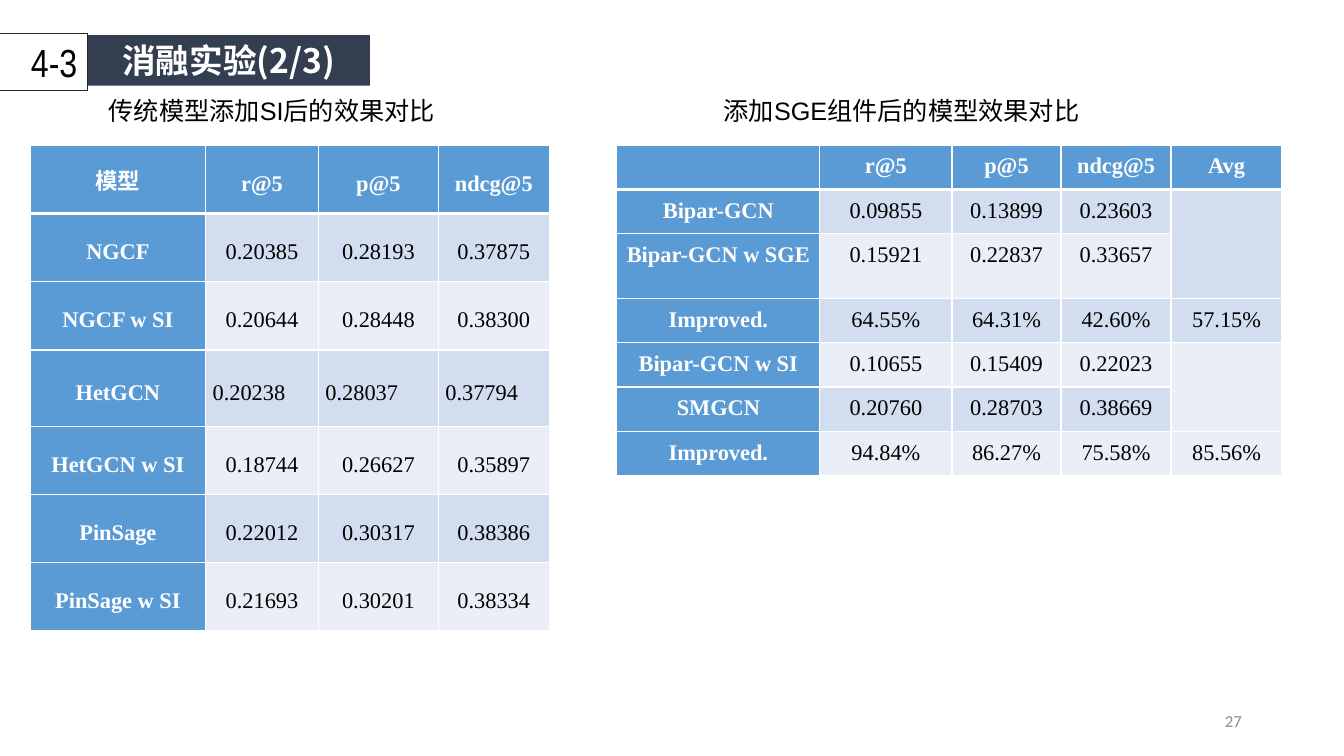
from pptx import Presentation, util as u
from pptx.dml.color import RGBColor
from pptx.enum import shapes, text
from pptx.oxml import parse_xml
from pptx.oxml.ns import nsdecls

WHITE = RGBColor(0xFF, 0xFF, 0xFF)
BLACK = RGBColor(0, 0, 0)
EDGE = RGBColor(0x26, 0x26, 0x26)
NAVY = RGBColor(0x33, 0x3F, 0x50)
GREY = RGBColor(0x8C, 0x8C, 0x8C)
BLUE = RGBColor(0x5B, 0x9B, 0xD5)
BANDS = RGBColor(0xEA, 0xEF, 0xF7), RGBColor(0xD2, 0xDE, 0xEF)

WIDE, HIGH = u.Inches(13.33), u.Inches(7.5)
COL, ROW = WIDE / 100, HIGH / 100
LEFT, MID, RIGHT = text.PP_ALIGN.LEFT, text.PP_ALIGN.CENTER, text.PP_ALIGN.RIGHT
TOP, CORE = text.MSO_ANCHOR.TOP, text.MSO_ANCHOR.MIDDLE

MODELS = [
    ["模型", "r@5", "p@5", "ndcg@5"],
    ["NGCF", "0.20385", "0.28193", "0.37875"],
    ["NGCF w SI", "0.20644", "0.28448", "0.38300"],
    ["HetGCN", "0.20238", "0.28037", "0.37794"],
    ["HetGCN w SI", "0.18744", "0.26627", "0.35897"],
    ["PinSage", "0.22012", "0.30317", "0.38386"],
    ["PinSage w SI", "0.21693", "0.30201", "0.38334"],
]
GAINS = [
    ["", "r@5", "p@5", "ndcg@5", "Avg"],
    ["Bipar-GCN", "0.09855", "0.13899", "0.23603", ""],
    ["Bipar-GCN w SGE", "0.15921", "0.22837", "0.33657", ""],
    ["Improved.", "64.55%", "64.31%", "42.60%", "57.15%"],
    ["Bipar-GCN w SI", "0.10655", "0.15409", "0.22023", ""],
    ["SMGCN", "0.20760", "0.28703", "0.38669", ""],
    ["Improved.", "94.84%", "86.27%", "75.58%", "85.56%"],
]


def place(box):
    """Turn grid columns and rows into slide lengths."""
    x, y, w, h = box
    return int(x * COL), int(y * ROW), int(w * COL), int(h * ROW)


def write(frame, words, size, face, ink, align=LEFT, bold=False):
    """Put one styled paragraph in a text frame."""
    frame.text = words
    para = frame.paragraphs[0]
    para.alignment = align
    for run in para.runs:
        font = run.font
        font.size, font.name, font.bold = u.Pt(size), face, bold
        font.color.rgb = ink
    return para


def label(slide, box, words, size, face, ink, align=LEFT, anchor=TOP):
    """Add a wrapped text box."""
    frame = slide.shapes.add_textbox(*place(box)).text_frame
    frame.word_wrap = True
    frame.vertical_anchor = anchor
    write(frame, words, size, face, ink, align)


def header(slide, box):
    """Draw the section badge and the title bar to its right."""
    x, y, w, h = box
    badge = slide.shapes.add_shape(
        shapes.MSO_SHAPE.RECTANGLE, *place((x, y, 0.24 * w, h)))
    badge.shadow.inherit = False
    badge.fill.background()
    badge.line.color.rgb = EDGE
    badge.line.width = u.Pt(0.75)
    write(badge.text_frame, "4-3", 28, "Arial Narrow", BLACK, RIGHT)

    title = slide.shapes.title
    title.left, title.top, title.width, title.height = place(
        (x + 0.24 * w, y + 0.03 * h, 0.76 * w, 0.88 * h))
    title.fill.solid()
    title.fill.fore_color.rgb = NAVY
    frame = title.text_frame
    frame.auto_size = text.MSO_AUTO_SIZE.NONE
    frame.vertical_anchor = CORE
    face = "Noto Sans CJK SC"
    para = write(frame, "消融实验(2/3)", 24, face, WHITE, MID, True)
    for run in para.runs:
        run.font._element.append(
            parse_xml(f'<a:ea {nsdecls("a")} typeface="{face}"/>'))


def border(cell, row):
    """Line a cell in white, thicker below the header row."""
    props = cell._tc.get_or_add_tcPr()
    for side in "LRTB":
        thick = (row, side) in ((0, "B"), (1, "T"))
        props.append(parse_xml(
            f'<a:ln{side} {nsdecls("a")} w="{u.Pt(3 if thick else 1)}">'
            f'<a:solidFill><a:srgbClr val="{WHITE}"/></a:solidFill></a:ln{side}>'))


def grid(slide, box, rows, wides, highs, anchor, flush=None, spans=()):
    """Fill a box with a banded table whose tracks follow the given weights."""
    x, y, w, h = place(box)
    table = slide.shapes.add_table(len(rows), len(wides), x, y, w, h).table
    for track, part in zip(table.columns, wides):
        track.width = int(w * part / sum(wides))
    for track, part in zip(table.rows, highs):
        track.height = int(h * part / sum(highs))
    for r, line in enumerate(rows):
        for c, words in enumerate(line):
            cell = table.cell(r, c)
            head = r == 0 or c == 0
            cell.margin_left = cell.margin_right = u.Inches(0.07)
            cell.margin_top = cell.margin_bottom = 0
            cell.vertical_anchor = anchor
            border(cell, r)
            cell.fill.solid()
            cell.fill.fore_color.rgb = BLUE if head else BANDS[r % 2]
            align = LEFT if r == flush and not head else MID
            para = write(cell.text_frame, words, 16, "Times New Roman",
                         WHITE if head else BLACK, align, head)
            para.line_spacing = u.Pt(24)
    for first, last in spans:
        end = len(wides) - 1
        table.cell(first, end).merge(table.cell(last, end))


def build():
    """Build the slide and save it."""
    deck = Presentation()
    deck.slide_width, deck.slide_height = WIDE, HIGH
    slide = deck.slides.add_slide(deck.slide_layouts[5])
    header(slide, (-0.15, 4.4, 27.68, 7.6))
    label(slide, (70.65, 92.67, 22.5, 5.33), "27", 12, "Calibri", GREY, RIGHT, CORE)
    label(slide, (7.35, 12, 27.38, 5.33), "传统模型添加SI后的效果对比", 18, "Arial", BLACK)
    label(slide, (53.1, 12, 50.1, 5.33), "添加SGE组件后的模型效果对比", 18, "Arial", BLACK)
    grid(slide, (2.25, 19.2, 38.62, 64.27), MODELS, (1.74, 1.12, 1.19, 1.1),
         [0.68] * 3 + [0.76] + [0.68] * 3, CORE, flush=3)
    grid(slide, (45.9, 19.2, 49.5, 43.73), GAINS, (2.01, 1.31, 1.08, 1.09, 1.1),
         [0.44] * 2 + [0.64] + [0.44] * 4, TOP, spans=((1, 2), (4, 5)))
    deck.save("out.pptx")


if __name__ == "__main__":
    build()
